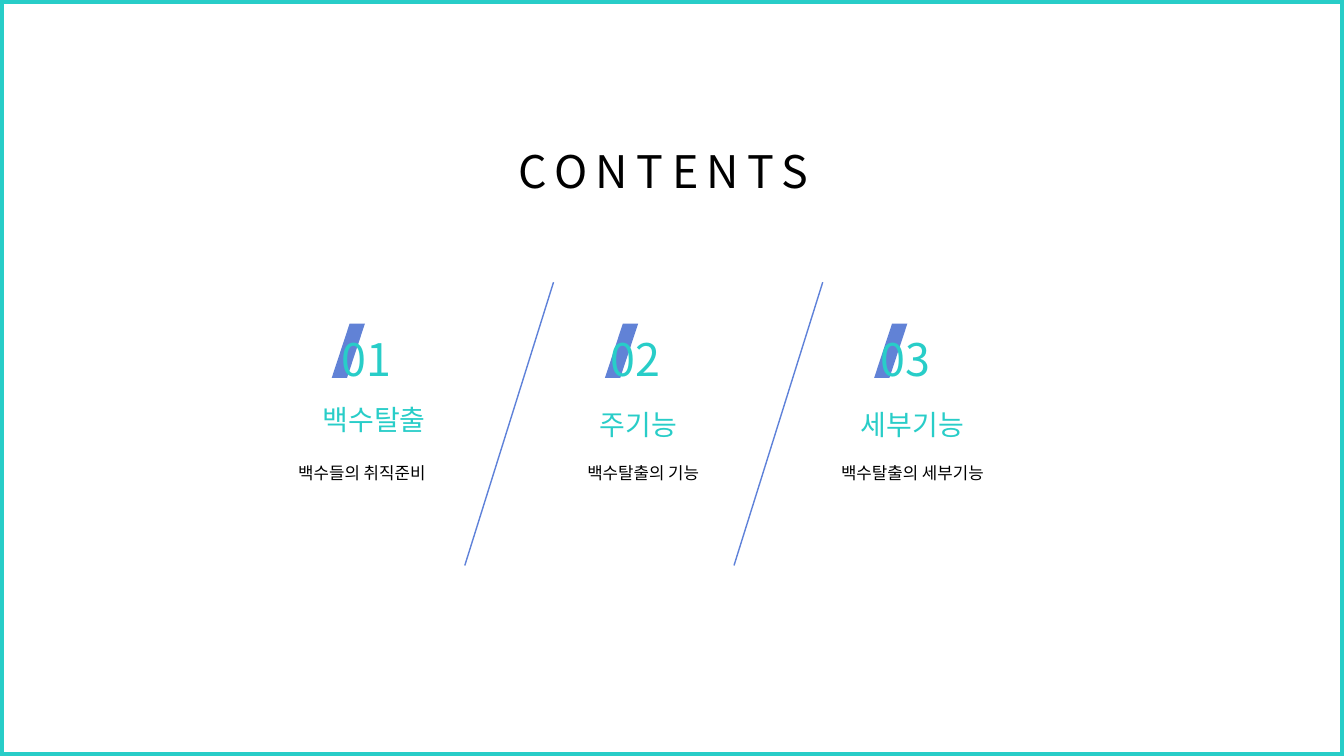
from dataclasses import dataclass

from lxml.etree import SubElement
from pptx import Presentation
from pptx.dml.color import RGBColor
from pptx.enum.shapes import MSO_CONNECTOR as Link, MSO_SHAPE as Kind
from pptx.enum.text import MSO_AUTO_SIZE as Fit, PP_ALIGN as Align
from pptx.oxml import parse_xml
from pptx.oxml.ns import qn
from pptx.util import Inches, Pt

TEAL = RGBColor(0x28, 0xCD, 0xC8)
BLUE = RGBColor(0x61, 0x82, 0xD6)
RULE = RGBColor(0x5E, 0x81, 0xD9)
BLACK = RGBColor(0, 0, 0)
FONT = "Noto Sans CJK KR"
WIDE, HIGH = 13.33, 7.5
STEP = 2.67  # distance between columns
OUTLINE = (
    '<a:ln xmlns:a="http://schemas.openxmlformats.org/drawingml/2006/main" w="9525">'
    f'<a:solidFill><a:srgbClr val="{TEAL}"/></a:solidFill></a:ln>'
)


@dataclass
class Part:
    head: str
    note: str
    bar_x: float
    head_x: float
    head_y: float
    note_x: float


PARTS = [
    Part("백수탈출", "백수들의 취직준비", 3.29, 2.82, 3.99, 2.7),
    Part("주기능", "백수탈출의 기능", 6, 5.44, 4.04, 5.49),
    Part("세부기능", "백수탈출의 세부기능", 8.67, 8.16, 4.04, 8.16),
]


def add_text(slide, text: str, x: float, y: float, w: float, h: float,
             size: float, color: RGBColor, align=Align.CENTER):
    """Add one line of text without margins and return its run."""
    box = slide.shapes.add_textbox(Inches(x), Inches(y), Inches(w), Inches(h))
    frame = box.text_frame
    frame.margin_left = frame.margin_right = 0
    frame.margin_top = frame.margin_bottom = 0
    frame.word_wrap = True
    frame.auto_size = Fit.SHAPE_TO_FIT_TEXT
    para = frame.paragraphs[0]
    para.alignment = align
    run = para.add_run()
    run.text = text
    run.font.size = Pt(size)
    run.font.name = FONT
    run.font.color.rgb = color
    SubElement(run.font._element, qn("a:ea")).set("typeface", FONT)
    return para, run


def add_bar(slide, x: float) -> None:
    bar = slide.shapes.add_shape(
        Kind.PARALLELOGRAM, Inches(x), Inches(3.21), Inches(0.33), Inches(0.54))
    bar.adjustments[0] = 0.54
    bar.shadow.inherit = False
    bar.fill.solid()
    bar.fill.fore_color.rgb = BLUE
    bar.line.fill.background()


def add_rule(slide, x: float) -> None:
    rule = slide.shapes.add_connector(
        Link.STRAIGHT, Inches(x), Inches(2.8), Inches(x - 0.88), Inches(5.61))
    rule.line.color.rgb = RULE
    rule.line.width = Pt(1)
    SubElement(rule._element.spPr, qn("a:effectLst"))


def add_part(slide, part: Part, index: int) -> None:
    add_bar(slide, part.bar_x)
    _, run = add_text(slide, f"{index + 1:02}", 3.39 + index * STEP, 3.29,
                      1.22, 0.54, 32, TEAL, Align.LEFT)
    run.font._element.insert(0, parse_xml(OUTLINE))
    add_text(slide, part.head, part.head_x, part.head_y, 1.78, 0.34, 20, TEAL)
    para, _ = add_text(slide, part.note, part.note_x, 4.53, 1.78, 0.25, 12, BLACK)
    para.line_spacing = 1.3
    para.space_before = Pt(2)


def add_frame(slide) -> None:
    frame = slide.shapes.add_shape(Kind.RECTANGLE, 0, 0, Inches(WIDE), Inches(HIGH))
    frame.shadow.inherit = False
    frame.fill.background()
    frame.line.color.rgb = TEAL
    frame.line.width = Pt(6)


def main() -> None:
    deck = Presentation()
    deck.slide_width, deck.slide_height = Inches(WIDE), Inches(HIGH)
    slide = deck.slides.add_slide(deck.slide_layouts[6])

    # Title
    _, run = add_text(slide, "CONTENTS", 1.21, 1.43, 10.74, 0.54, 32, BLACK)
    run.font._element.set("spc", "600")

    # Columns, with a slanted rule between neighbours
    for index, part in enumerate(PARTS):
        add_part(slide, part, index)
        if index < len(PARTS) - 1:
            add_rule(slide, 5.49 + index * STEP)

    # Border
    add_frame(slide)
    deck.save("out.pptx")


if __name__ == "__main__":
    main()
